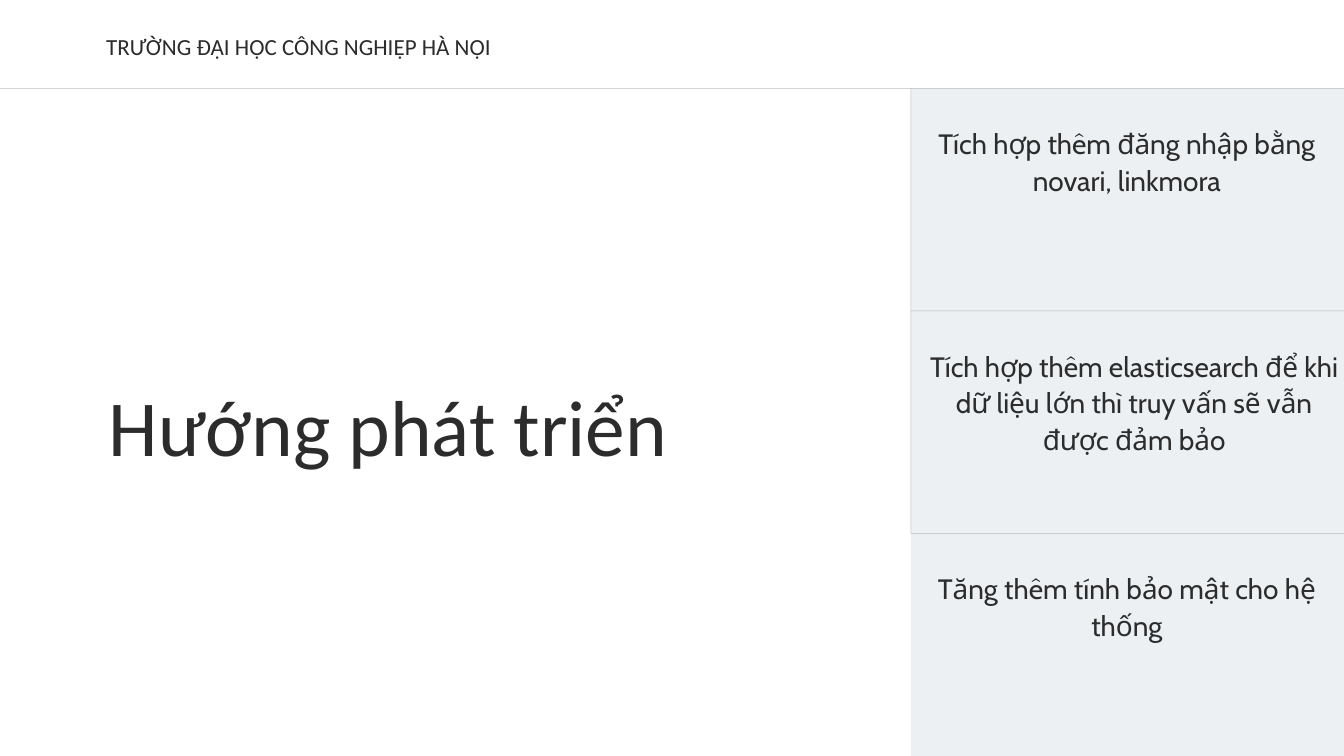
from pptx import Presentation
from pptx.dml.color import RGBColor
from pptx.enum.shapes import MSO_CONNECTOR, MSO_SHAPE
from pptx.enum.text import MSO_ANCHOR, MSO_AUTO_SIZE, PP_ALIGN
from pptx.oxml.ns import qn
from pptx.util import Cm, Pt
from lxml import etree

LEFT, CENTER = PP_ALIGN.LEFT, PP_ALIGN.CENTER
TOP = MSO_ANCHOR.TOP
NO_FIT = MSO_AUTO_SIZE.NONE
RECTANGLE = MSO_SHAPE.RECTANGLE
STRAIGHT = MSO_CONNECTOR.STRAIGHT

INK = RGBColor(0x2C, 0x2C, 0x2C)
PANEL = RGBColor(0xED, 0xF0, 0xF2)

SCHOOL = "TRƯỜNG ĐẠI HỌC CÔNG NGHIỆP HÀ NỘI"
HEADING = "Hướng phát triển"
DIRECTIONS = [
    ("Tích hợp thêm đăng nhập bằng novari, linkmora", 0.75),
    ("Tích hợp thêm elasticsearch để khi dữ liệu lớn thì truy vấn sẽ vẫn được đảm bảo", 0.2),
    ("Tăng thêm tính bảo mật cho hệ thống", 0.75),
]

SLIDE_W, SLIDE_H = 50.8, 28.575
PANEL_X, PANEL_Y, PANEL_H = 34.43, 3.34, 8.41
PANEL_W = SLIDE_W - PANEL_X


def write(shape, text, font, size, spacing, align, insets=(0, 0, 0, 0)):
    frame = shape.text_frame
    frame.text = text
    frame.word_wrap = True
    frame.auto_size = NO_FIT
    frame.vertical_anchor = TOP
    frame.margin_left, frame.margin_top, frame.margin_right, frame.margin_bottom = map(Cm, insets)
    paragraph = frame.paragraphs[0]
    paragraph.alignment = align
    paragraph.line_spacing = Pt(spacing)
    for run in paragraph.runs:
        run.font.name = font
        run.font.size = Pt(size)
        run.font.color.rgb = INK


def rule(shapes, x1, y1, x2, y2):
    line = shapes.add_connector(STRAIGHT, Cm(x1), Cm(y1), Cm(x2), Cm(y2))
    line.line.width = Pt(0.75)
    line.line.color.rgb = INK
    properties = line._element.spPr
    color = properties.find(".//" + qn("a:srgbClr"))
    etree.SubElement(color, qn("a:alpha"), val="30000")
    etree.SubElement(properties, qn("a:effectLst"))


def main():
    deck = Presentation()
    deck.slide_width, deck.slide_height = Cm(SLIDE_W), Cm(SLIDE_H)
    slide = deck.slides.add_slide(deck.slide_layouts[5])
    shapes = slide.shapes

    heading = shapes.title
    heading.left, heading.top = Cm(4.11), Cm(14.27)
    heading.width, heading.height = Cm(24.94), Cm(3.6)
    write(heading, HEADING, "Calibri", 85, 102, LEFT)

    school = shapes.add_textbox(Cm(4.01), Cm(1.04), Cm(20.75), Cm(1.14))
    write(school, SCHOOL, "Calibri", 24.7, 34.5, LEFT)

    tops = [PANEL_Y + row * PANEL_H for row in range(len(DIRECTIONS))]
    for top, (direction, right_inset) in zip(tops, DIRECTIONS):
        panel = shapes.add_shape(RECTANGLE, Cm(PANEL_X), Cm(top), Cm(PANEL_W), Cm(PANEL_H))
        panel.shadow.inherit = False
        panel.fill.solid()
        panel.fill.fore_color.rgb = PANEL
        panel.line.fill.background()
        write(panel, direction, "Cabin", 30, 39, CENTER, (0.71, 1.35, right_inset, 0))

    rule(shapes, 0, PANEL_Y, SLIDE_W, PANEL_Y)
    rule(shapes, PANEL_X, PANEL_Y, PANEL_X, tops[-1])
    for top in tops[1:]:
        rule(shapes, PANEL_X, top, SLIDE_W, top)

    deck.save("out.pptx")


if __name__ == "__main__":
    main()
